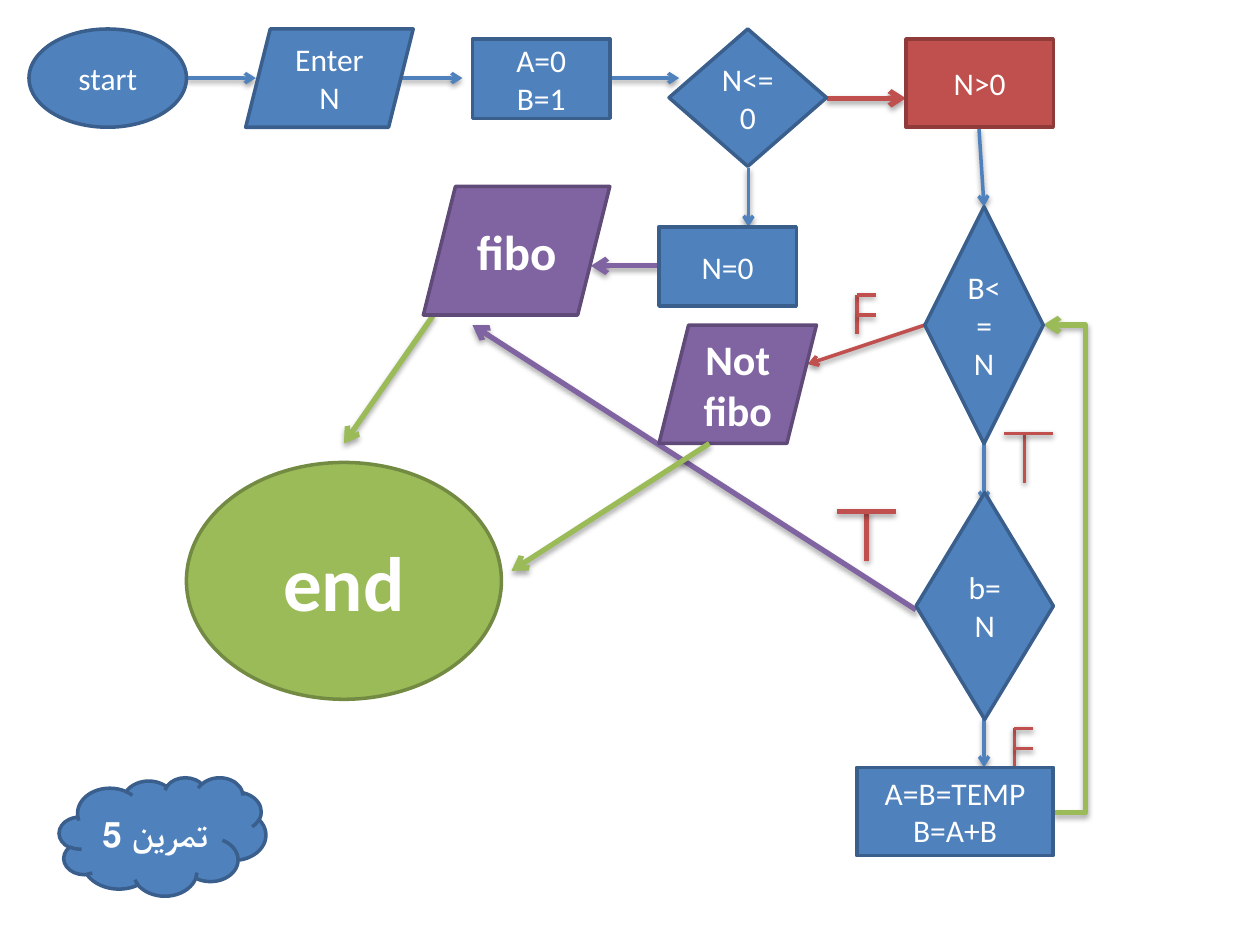
"""Build a flowchart slide that tests whether N is a Fibonacci number."""
from dataclasses import dataclass

from lxml.etree import SubElement
from pptx import Presentation
from pptx.dml.color import RGBColor
from pptx.enum.shapes import MSO_CONNECTOR, MSO_SHAPE
from pptx.enum.text import PP_ALIGN
from pptx.oxml.ns import qn
from pptx.util import Inches, Pt


@dataclass(frozen=True)
class Theme:
    """Colours as (fill, outline) pairs, type sizes and line widths."""
    blue: tuple = ("4F81BD", "3A5F8C")
    red: tuple = ("C0504D", "8E3B39")
    purple: tuple = ("8064A2", "5F4A78")
    green: tuple = ("9BBB59", "738A42")
    text: str = "FFFFFF"
    font: str = "Calibri"
    body: int = 18
    badge: int = 20
    result: int = 24
    result_large: int = 28
    end: int = 44
    thin: int = 2
    thick: int = 3


T = Theme()


def add_node(s, kind, box, text, color=T.blue, size=T.body, bold=False):
    """Add a filled flowchart shape with centred text."""
    sp = s.shapes.add_shape(kind, *map(Inches, box))
    sp.shadow.inherit = False
    sp.fill.solid()
    sp.fill.fore_color.rgb = RGBColor.from_string(color[0])
    sp.line.color.rgb = RGBColor.from_string(color[1])
    sp.line.width = Pt(T.thin)
    tf = sp.text_frame
    tf.word_wrap = True
    tf.text = text
    for p in tf.paragraphs:
        p.alignment = PP_ALIGN.CENTER
        p._p.get_or_add_pPr().set("rtl", "1")
        for r in p.runs:
            r.font.name = T.font
            r.font.size = Pt(size)
            r.font.bold = bold
            r.font.color.rgb = RGBColor.from_string(T.text)


def add_shadow(cxn, width):
    """Give a connector a soft shadow that falls straight down."""
    dist, alpha = (20000, 38000) if width == T.thin else (23000, 35000)
    effects = SubElement(cxn._element.spPr, qn("a:effectLst"))
    shadow = SubElement(effects, qn("a:outerShdw"), blurRad="40000",
                        dist=str(dist), dir="5400000", rotWithShape="0")
    black = SubElement(shadow, qn("a:srgbClr"), val="000000")
    SubElement(black, qn("a:alpha"), val=str(alpha))


def add_line(s, start, end, color=T.blue, width=T.thin,
             kind=MSO_CONNECTOR.STRAIGHT):
    """Add a shadowed connector and return it."""
    cxn = s.shapes.add_connector(kind, *map(Inches, start + end))
    cxn.line.color.rgb = RGBColor.from_string(color[0])
    cxn.line.width = Pt(width)
    add_shadow(cxn, width)
    return cxn


def add_arrow(s, *args, **kwargs):
    """Add a connector with an open arrowhead at its end."""
    cxn = add_line(s, *args, **kwargs)
    SubElement(cxn.line._get_or_add_ln(), qn("a:tailEnd"), type="arrow")
    return cxn


def add_loop_arrow(s, start, end, bend):
    """Add a bent arrow whose vertical leg lies at the given multiple of its width."""
    cxn = add_arrow(s, start, end, T.green, T.thick, kind=MSO_CONNECTOR.ELBOW)
    geom = cxn._element.spPr.find(qn("a:prstGeom"))
    guides = geom.find(qn("a:avLst"))
    if guides is None:
        guides = SubElement(geom, qn("a:avLst"))
    SubElement(guides, qn("a:gd"), name="adj1", fmla=f"val {round(bend * 100000)}")


def add_true_mark(s, left, stem, right, top, width=T.thin):
    """Draw the letter T from two lines."""
    add_line(s, (stem, top), (stem, top + 0.39), T.red, width)
    add_line(s, (left, top), (right, top), T.red, width)


def add_false_mark(s, left, top):
    """Draw the letter F from three lines."""
    add_line(s, (left, top), (left, top + 0.31), T.red)
    for y in (top, top + 0.16):
        add_line(s, (left, y), (left + 0.15, y), T.red)


def add_arrows(s):
    """Add the flow between the steps."""
    for start, end in (
        ((1.48, 0.62), (2.03, 0.62)),
        ((3.18, 0.62), (3.67, 0.62)),
        ((4.84, 0.62), (5.39, 0.62)),
        ((5.94, 1.33), (5.94, 1.8)),
        ((7.77, 1.02), (7.81, 1.64)),
        ((7.81, 3.52), (7.81, 3.99)),
        ((7.81, 5.7), (7.81, 6.09)),
    ):
        add_arrow(s, start, end)
    add_arrow(s, (7.34, 2.58), (6.41, 2.89), T.red)
    for start, end, color in (
        ((6.56, 0.78), (7.19, 0.78), T.red),
        ((5.23, 2.11), (4.69, 2.11), T.purple),
        ((7.27, 4.84), (3.75, 2.58), T.purple),
        ((3.44, 2.5), (2.73, 3.52), T.green),
    ):
        add_arrow(s, start, end, color, T.thick)
    add_loop_arrow(s, (8.36, 6.45), (8.28, 2.58), -3.2)


def add_steps(s):
    """Add the input, process and decision steps."""
    for kind, box, text in (
        (MSO_SHAPE.OVAL, (0.23, 0.23, 1.25, 0.78), "start"),
        (MSO_SHAPE.PARALLELOGRAM, (1.95, 0.23, 1.33, 0.78), "Enter N"),
        (MSO_SHAPE.RECTANGLE, (3.75, 0.31, 1.09, 0.63), "A=0\nB=1"),
        (MSO_SHAPE.DIAMOND, (5.31, 0.23, 1.25, 1.09), "N<=0"),
        (MSO_SHAPE.RECTANGLE, (5.23, 1.8, 1.09, 0.63), "N=0"),
        (MSO_SHAPE.DIAMOND, (7.34, 1.64, 0.94, 1.88), "B<=N"),
        (MSO_SHAPE.DIAMOND, (7.27, 3.91, 1.09, 1.8), "b=N"),
        (MSO_SHAPE.RECTANGLE, (6.8, 6.09, 1.56, 0.7), "A=B=TEMP\nB=A+B"),
    ):
        add_node(s, kind, box, text)
    add_node(s, MSO_SHAPE.RECTANGLE, (7.19, 0.31, 1.17, 0.7), "N>0", T.red)


def add_results(s):
    """Add the two outcomes, the end and the exercise badge."""
    for kind, box, text, color, size in (
        (MSO_SHAPE.PARALLELOGRAM, (3.36, 1.48, 1.48, 1.02), "fibo",
         T.purple, T.result_large),
        (MSO_SHAPE.PARALLELOGRAM, (5.23, 2.58, 1.25, 0.94), "Not fibo",
         T.purple, T.result),
        (MSO_SHAPE.OVAL, (1.48, 3.67, 2.5, 1.88), "end", T.green, T.end),
        (MSO_SHAPE.CLOUD, (0.47, 6.17, 1.64, 0.94), "تمرین 5", T.blue, T.badge),
    ):
        add_node(s, kind, box, text, color, size, bold=True)
    add_arrow(s, (5.63, 3.52), (4.06, 4.53), T.green, T.thick)


def main():
    """Build and save the slide."""
    prs = Presentation()
    prs.slide_width, prs.slide_height = Inches(10), Inches(7.5)
    s = prs.slides.add_slide(prs.slide_layouts[6])
    add_arrows(s)
    add_true_mark(s, 7.97, 8.13, 8.36, 3.44)
    add_true_mark(s, 6.64, 6.88, 7.11, 4.06, T.thick)
    add_false_mark(s, 6.8, 2.34)
    add_false_mark(s, 8.05, 5.78)
    add_steps(s)
    add_results(s)
    prs.save("out.pptx")


if __name__ == "__main__":
    main()
